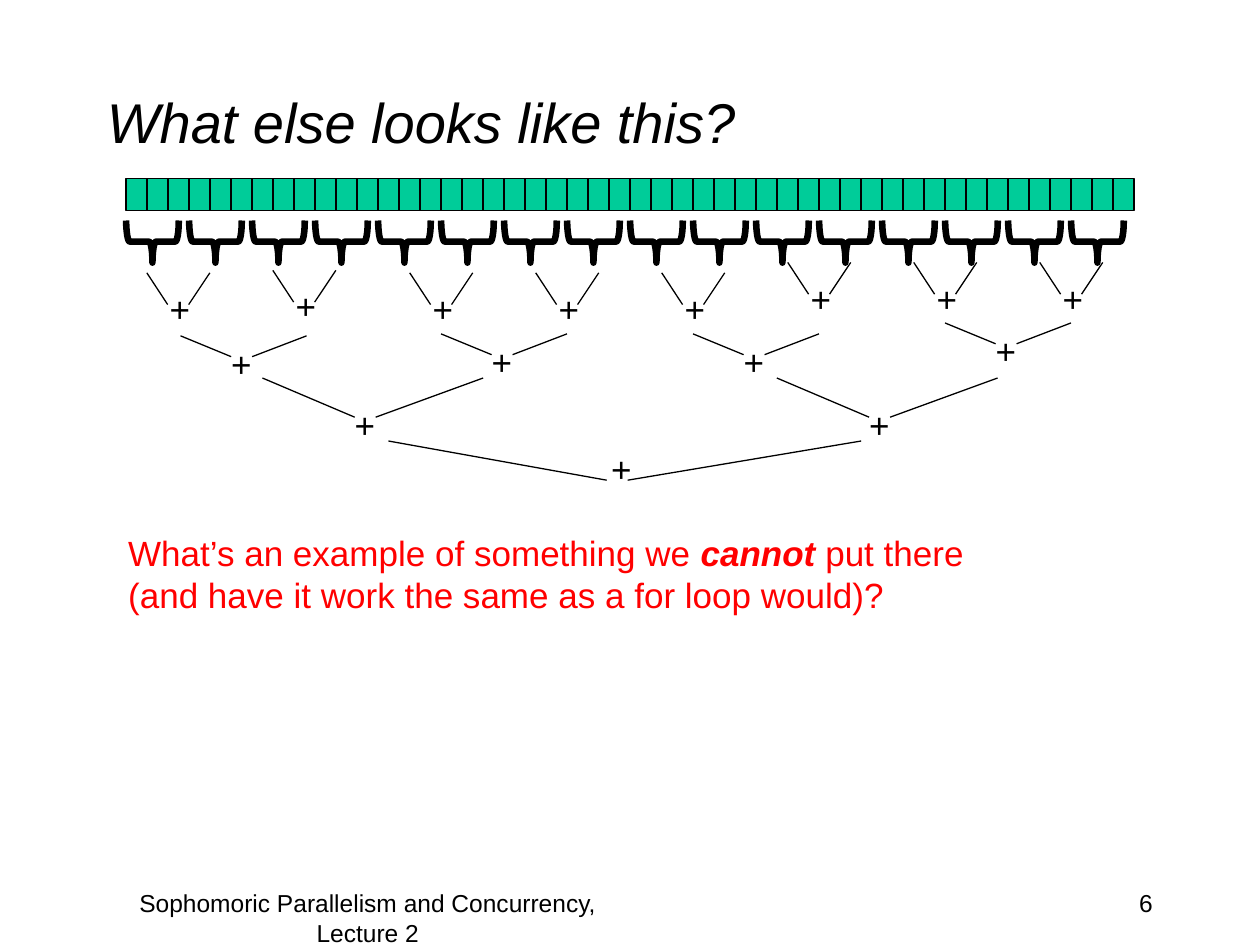
from dataclasses import dataclass

from lxml import etree
from pptx import Presentation
from pptx.dml.color import RGBColor
from pptx.enum.shapes import MSO_CONNECTOR, MSO_SHAPE
from pptx.enum.text import MSO_ANCHOR, MSO_AUTO_SIZE, PP_ALIGN
from pptx.oxml.ns import qn
from pptx.util import Cm, Pt

RECT, BRACE = MSO_SHAPE.RECTANGLE, MSO_SHAPE.LEFT_BRACE
STRAIGHT = MSO_CONNECTOR.STRAIGHT
LEFT, CENTER, RIGHT = PP_ALIGN.LEFT, PP_ALIGN.CENTER, PP_ALIGN.RIGHT
TOP, MIDDLE = MSO_ANCHOR.TOP, MSO_ANCHOR.MIDDLE
NO_FIT, GROW = MSO_AUTO_SIZE.NONE, MSO_AUTO_SIZE.SHAPE_TO_FIT_TEXT


@dataclass(frozen=True)
class Theme:
    font: str = "Arial"
    ink: RGBColor = RGBColor(0, 0, 0)
    accent: RGBColor = RGBColor(0xFF, 0, 0)
    cell: RGBColor = RGBColor(0, 0xCC, 0x99)
    title: int = 32
    body: int = 20
    footer: int = 14
    thin: float = 0.75
    thick: float = 3.75


@dataclass(frozen=True)
class Level:
    """One row of the tree; lengths in cm, nodes are upper left line ends."""
    nodes: tuple
    span: float    # between the outer ends of the two branches
    reach: float   # left branch, horizontally
    drop: float    # both branches, vertically
    sign_dx: float
    sign_dy: float


THEME = Theme()
CELL = 2.54 / 6
CELLS, CELLS_PER_BRACE = 48, 3
LEVELS = (
    Level(((2.96, 5.5), (5.5, 5.45), (8.26, 5.5), (10.8, 5.5), (13.34, 5.5),
           (15.88, 5.29), (18.42, 5.29), (20.96, 5.29)),
          1.27, 0.42, 0.64, 0.21, 0.17),
    Level(((3.64, 6.77), (8.89, 6.73), (13.97, 6.73), (19.05, 6.51)),
          2.54, 1.02, 0.42, 0.77, 0),
    Level(((5.29, 7.62), (18.36 - 2.7, 7.62)), 4.45, 1.86, 0.79, 1.61, 0.39),
    Level(((7.83, 8.89),), 9.53, 4.4, 0.79, 4.24, 0),
)


def place(sp, x, y, w, h):
    sp.left, sp.top, sp.width, sp.height = Cm(x), Cm(y), Cm(w), Cm(h)


def write(sp, text, size=THEME.body, color=THEME.ink, align=LEFT, anchor=TOP,
          wrap=True, fit=NO_FIT, italic=False, strong=None):
    """Fill a shape with lines of text; the word `strong` is bold italic."""
    tf = sp.text_frame
    tf.word_wrap, tf.auto_size, tf.vertical_anchor = wrap, fit, anchor
    p = tf.paragraphs[0]
    p.alignment = align
    for i, line in enumerate(text.split("\n")):
        if i:
            p.add_line_break()
        before, mark, after = line.partition(strong) if strong else (line, "", "")
        for part, is_strong in ((before, False), (mark, True), (after, False)):
            if part:
                r = p.add_run()
                r.text = part
                r.font.name, r.font.size = THEME.font, Pt(size)
                r.font.color.rgb = color
                r.font.bold, r.font.italic = is_strong, italic or is_strong
    return p


def add_text(s, text, x, y, w, h, **fmt):
    sp = s.shapes.add_textbox(Cm(x), Cm(y), Cm(w), Cm(h))
    write(sp, text, **fmt)


def add_outline(s, kind, x, y, w, h, weight, fill=None):
    sp = s.shapes.add_shape(kind, Cm(x), Cm(y), Cm(w), Cm(h))
    sp.shadow.inherit = False
    if fill is None:
        sp.fill.background()
    else:
        sp.fill.solid()
        sp.fill.fore_color.rgb = fill
    sp.line.color.rgb, sp.line.width = THEME.ink, Pt(weight)
    return sp


def add_line(s, x1, y1, x2, y2):
    line = s.shapes.add_connector(STRAIGHT, Cm(x1), Cm(y1), Cm(x2), Cm(y2))
    line.line.color.rgb, line.line.width = THEME.ink, Pt(THEME.thin)
    etree.SubElement(line._element.spPr, qn("a:effectLst"))


def add_array(s):
    for i in range(CELLS):
        add_outline(s, RECT, 2.54 + i * CELL, 3.6, CELL, 0.64,
                    THEME.thin, THEME.cell)
    for i in range(CELLS // CELLS_PER_BRACE):
        sp = add_outline(s, BRACE, 2.65 + i * CELLS_PER_BRACE * CELL, 4.34,
                         0.85, 1.06, THEME.thick)
        sp.rotation = 270


def add_sum(s, level, x, y):
    bottom, left_end = y + level.drop, x + level.reach
    add_line(s, x, y, left_end, bottom)
    add_line(s, x + level.span, y, left_end + CELL, bottom)
    add_text(s, "+", x + level.sign_dx, y + level.sign_dy, 0.92, 1.11,
             wrap=False, fit=GROW)


def main():
    prs = Presentation()
    prs.slide_width, prs.slide_height = Cm(25.4), Cm(19.05)
    s = prs.slides.add_slide(prs.slide_layouts[1])

    # Title and question
    title, body = s.placeholders
    place(title, 1.9, 0.85, 21.59, 3.18)
    write(title, "What else looks like this?", size=THEME.title,
          anchor=MIDDLE, italic=True)
    place(body, 2.33, 10.58, 21.59, 2.12)
    p = write(body, "What’s an example of something we cannot put there \n"
              "(and have it work the same as a for loop would)?",
              color=THEME.accent, strong="cannot")
    pPr = p._p.get_or_add_pPr()
    pPr.set("marL", "0")
    pPr.set("indent", "0")
    etree.SubElement(pPr, qn("a:buNone"))

    # Array and the tree of sums below it
    add_array(s)
    for level in LEVELS:
        for x, y in level.nodes:
            add_sum(s, level, x, y)

    # Footer
    add_text(s, "Sophomoric Parallelism and Concurrency, Lecture 2",
             1.7, 17.78, 11.43, 1.27, size=THEME.footer, align=CENTER)
    add_text(s, "6", 18.2, 17.78, 5.29, 1.27, size=THEME.footer, align=RIGHT)

    prs.save("out.pptx")


if __name__ == "__main__":
    main()
